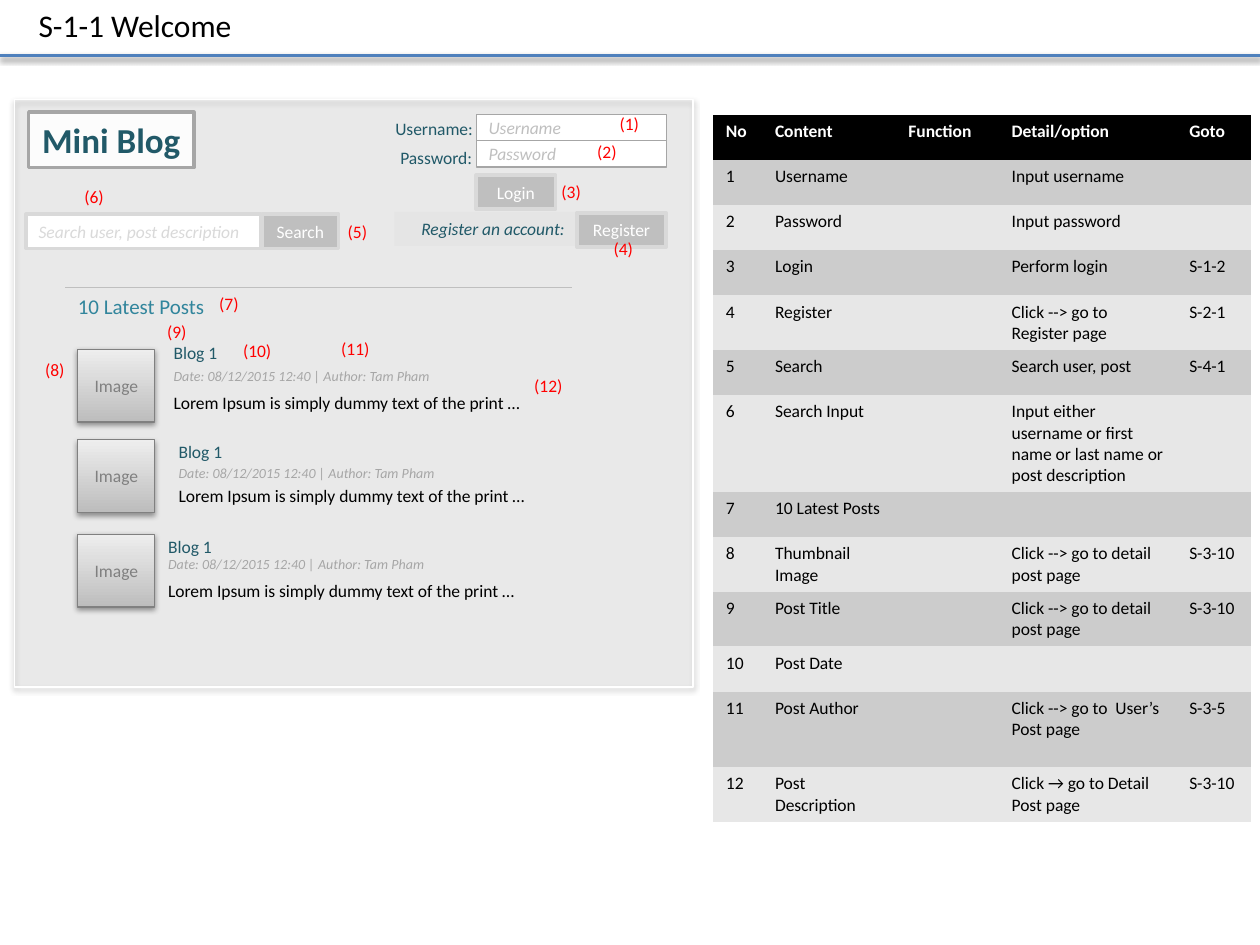
import pptx
import pptx.util
import pptx.dml.color
import pptx.enum.dml
import pptx.enum.shapes
import pptx.enum.text
import pptx.oxml
import pptx.oxml.ns
from lxml import etree

Cm = pptx.util.Cm
Pt = pptx.util.Pt
RGB = pptx.dml.color.RGBColor
Align = pptx.enum.text.PP_ALIGN
Anchor = pptx.enum.text.MSO_ANCHOR
qn = pptx.oxml.ns.qn

FONT = "Calibri"
BLACK = RGB(0, 0, 0)
WHITE = RGB(255, 255, 255)
BLUE = RGB(0x4F, 0x81, 0xBD)
TEAL = RGB(0x21, 0x59, 0x68)
AQUA = RGB(0x31, 0x85, 0x9C)
RED = RGB(255, 0, 0)
DARK = RGB(0x80, 0x80, 0x80)
GRAY = RGB(0xA6, 0xA6, 0xA6)
MID = RGB(0xBF, 0xBF, 0xBF)
PALE = RGB(0xD9, 0xD9, 0xD9)
LOW = RGB(0xBD, 0xBD, 0xBD)
HIGH = RGB(0xEE, 0xEE, 0xEE)
BANDS = RGB(0xE7, 0xE7, 0xE7), RGB(0xCC, 0xCC, 0xCC)
PLAIN = "{2D5ABB26-0587-4C30-8999-92F81FD0307C}"

HEAD = ["No", "Content", "Function", "Detail/option", "Goto"]
# Content, detail and target of each numbered part
PARTS = [
    ("Username", "Input username", ""),
    ("Password", "Input password", ""),
    ("Login", "Perform login", "S-1-2"),
    ("Register", "Click --> go to Register page", "S-2-1"),
    ("Search", "Search user, post", "S-4-1"),
    ("Search Input", "Input either username or first name or last name "
     "or post description", ""),
    ("10 Latest Posts", "", ""),
    ("Thumbnail Image", "Click --> go to detail post page", "S-3-10"),
    ("Post Title", "Click --> go to detail post page", "S-3-10"),
    ("Post Date", "", ""),
    ("Post Author", "Click --> go to  User’s Post page", "S-3-5"),
    ("Post Description", "Click → go to Detail Post page", "S-3-10"),
]
# Left and top of the marks (1) to (12)
MARKS = [(12.24, 2.16), (11.79, 2.72), (11.07, 3.53), (12.12, 4.67),
         (6.76, 4.34), (1.45, 3.63), (4.17, 5.79), (0.66, 7.11),
         (3.12, 6.35), (4.65, 6.73), (6.63, 6.68), (10.52, 7.44)]
# Thumbnail top, text left, then tops of title, date and body
POSTS = [(7.04, 3.25, 6.78, 7.29, 7.77),
         (8.86, 3.35, 8.76, 9.25, 9.65),
         (10.77, 3.14, 10.69, 11.07, 11.56)]


def write(frame, text, size, color, align=Align.LEFT, bold=False, italic=False):
    frame.text = text
    para = frame.paragraphs[0]
    para.alignment = align
    for run in para.runs:
        font = run.font
        font.name, font.size = FONT, Pt(size)
        font.bold, font.italic = bold, italic
        font.color.rgb = color


def shade(shape):
    """Soft shadow below the shape."""
    props = shape.element.spPr
    for old in props.findall(qn("a:effectLst")):
        props.remove(old)
    props.append(pptx.oxml.parse_xml(
        '<a:effectLst xmlns:a="http://schemas.openxmlformats.org/drawingml/2006/main">'
        '<a:outerShdw blurRad="40000" dist="20000" dir="5400000" rotWithShape="0">'
        '<a:srgbClr val="000000"><a:alpha val="38000"/></a:srgbClr>'
        '</a:outerShdw></a:effectLst>'))


def fade(shape, share):
    color = shape.element.spPr.find(qn("a:solidFill"))[0]
    etree.SubElement(color, qn("a:alpha")).set("val", str(share * 1000))


def label(slide, x, y, w, h, text, size, color, wrap=False, **style):
    box = slide.shapes.add_textbox(Cm(x), Cm(y), Cm(w), Cm(h))
    frame = box.text_frame
    write(frame, text, size, color, **style)
    frame.word_wrap = wrap
    frame.auto_size = pptx.enum.text.MSO_AUTO_SIZE.SHAPE_TO_FIT_TEXT


def block(slide, x, y, w, h, fill, edge=None, width=2.0, text="", size=10,
          color=WHITE, align=Align.CENTER, **style):
    kind = pptx.enum.shapes.MSO_SHAPE.RECTANGLE
    shape = slide.shapes.add_shape(kind, Cm(x), Cm(y), Cm(w), Cm(h))
    shape.shadow.inherit = False
    shape.fill.solid()
    shape.fill.fore_color.rgb = fill
    if edge is None:
        shape.line.fill.background()
    else:
        shape.line.color.rgb = edge
        shape.line.width = Pt(width)
    if text:
        shape.text_frame.vertical_anchor = Anchor.MIDDLE
        write(shape.text_frame, text, size, color, align, **style)
    return shape


def rule(slide, x, y, end, color, width):
    kind = pptx.enum.shapes.MSO_CONNECTOR.STRAIGHT
    line = slide.shapes.add_connector(kind, Cm(x), Cm(y), Cm(end), Cm(y))
    line.line.color.rgb = color
    line.line.width = Pt(width)
    etree.SubElement(line.element.spPr, qn("a:effectLst"))
    return line


def post(slide, top, left, title, date, body):
    thumb = block(slide, 1.57, top, 1.55, 1.47, LOW, DARK, 0.75, "Image", color=DARK)
    thumb.fill.gradient()
    thumb.fill.gradient_angle = 90
    for stop, color in zip(thumb.fill.gradient_stops, (LOW, HIGH)):
        stop.color.rgb = color
    shade(thumb)
    label(slide, left, title, 1.4, 0.69, "Blog 1", 10, TEAL)
    label(slide, left, date, 5.82, 0.61,
          "Date: 08/12/2015 12:40 | Author: Tam Pham", 8, GRAY, italic=True)
    label(slide, left, body, 8.2, 0.69,
          "Lorem Ipsum is simply dummy text of the print …", 10, BLACK,
          wrap=True, align=Align.JUSTIFY)


def grid(slide):
    rows = [HEAD] + [[str(n), name, "", info, goal]
                     for n, (name, info, goal) in enumerate(PARTS, 1)]
    sizes = [0.99, 2.69, 2.08, 3.58, 1.5]
    frame = slide.shapes.add_table(len(rows), len(sizes), Cm(14.38), Cm(2.31),
                                   Cm(sum(sizes)), Cm(0.91 * len(rows)))
    next(frame.element.iter(qn("a:tableStyleId"))).text = PLAIN
    table = frame.table
    for col, size in zip(table.columns, sizes):
        col.width = Cm(size)
    for r, row in enumerate(rows):
        table.rows[r].height = Cm(1.52 if r == 11 else 0.91)
        for c, text in enumerate(row):
            cell = table.cell(r, c)
            cell.fill.solid()
            cell.fill.fore_color.rgb = BANDS[r % 2] if r else BLACK
            write(cell.text_frame, text, 10, BLACK if r else WHITE, bold=r == 0)
            if not text:
                para = next(cell.text_frame._txBody.iter(qn("a:p")))
                etree.SubElement(para, qn("a:endParaRPr")).set("sz", "1000")


def main():
    deck = pptx.Presentation()
    deck.slide_width, deck.slide_height = Cm(25.4), Cm(19.05)
    slide = deck.slides.add_slide(deck.slide_layouts[6])

    # Title bar
    shade(rule(slide, 0, 1.12, 25.4, BLUE, 2))
    label(slide, 0.53, 0, 4.47, 1.02, "S-1-1 Welcome", 18, BLACK)

    # Page panel and site name
    panel = block(slide, 0.3, 2.01, 13.67, 11.84, GRAY, WHITE, 0.75)
    fade(panel, 12)
    shade(panel)
    name = block(slide, 0.58, 2.26, 3.33, 1.12, WHITE, GRAY, 2, "Mini Blog",
                 20, TEAL, bold=True)
    name.text_frame.word_wrap = False
    fade(name, 89)

    # Search
    block(slide, 0.53, 4.32, 4.72, 0.69, WHITE, PALE, 2,
          "Search user, post description", color=PALE, align=Align.LEFT, italic=True)
    block(slide, 5.28, 4.32, 1.55, 0.69, MID, PALE, text="Search")

    # Login and registration
    for text, x, y, top in (("Username", 7.72, 2.26, 2.31),
                            ("Password", 7.82, 2.84, 2.84)):
        label(slide, x, y, 2.1, 0.69, text + ":", 10, TEAL)
        block(slide, 9.6, top, 3.84, 0.53, WHITE, GRAY, 0.75, text,
              color=MID, align=Align.LEFT, italic=True)
    block(slide, 9.6, 3.53, 1.6, 0.69, MID, PALE, text="Login")
    block(slide, 11.63, 4.29, 1.8, 0.69, MID, PALE, text="Register")
    fade(block(slide, 7.95, 4.27, 3.68, 0.69, PALE, text="Register an account:",
               color=TEAL, align=Align.RIGHT, italic=True), 24)

    # Latest posts
    rule(slide, 1.32, 5.79, 11.53, MID, 0.25)
    label(slide, 1.32, 5.79, 3.23, 0.76, "10 Latest Posts", 12, AQUA)
    for place in POSTS:
        post(slide, *place)

    # Numbered marks and their table
    for n, (x, y) in enumerate(MARKS, 1):
        label(slide, x, y, 0.91 if n < 10 else 1.09, 0.69, f"({n})", 10, RED)
    grid(slide)

    deck.save("out.pptx")


if __name__ == "__main__":
    main()
